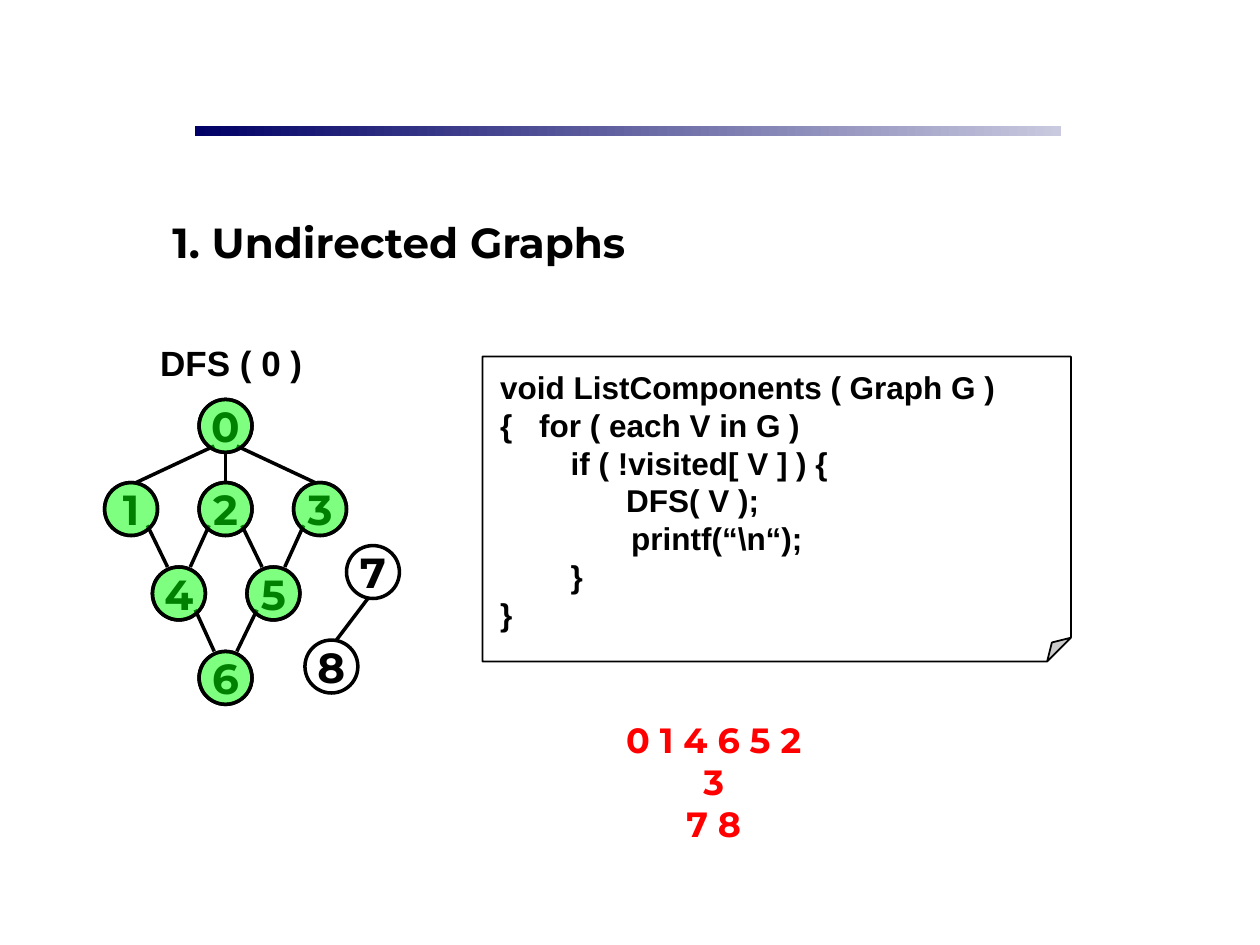
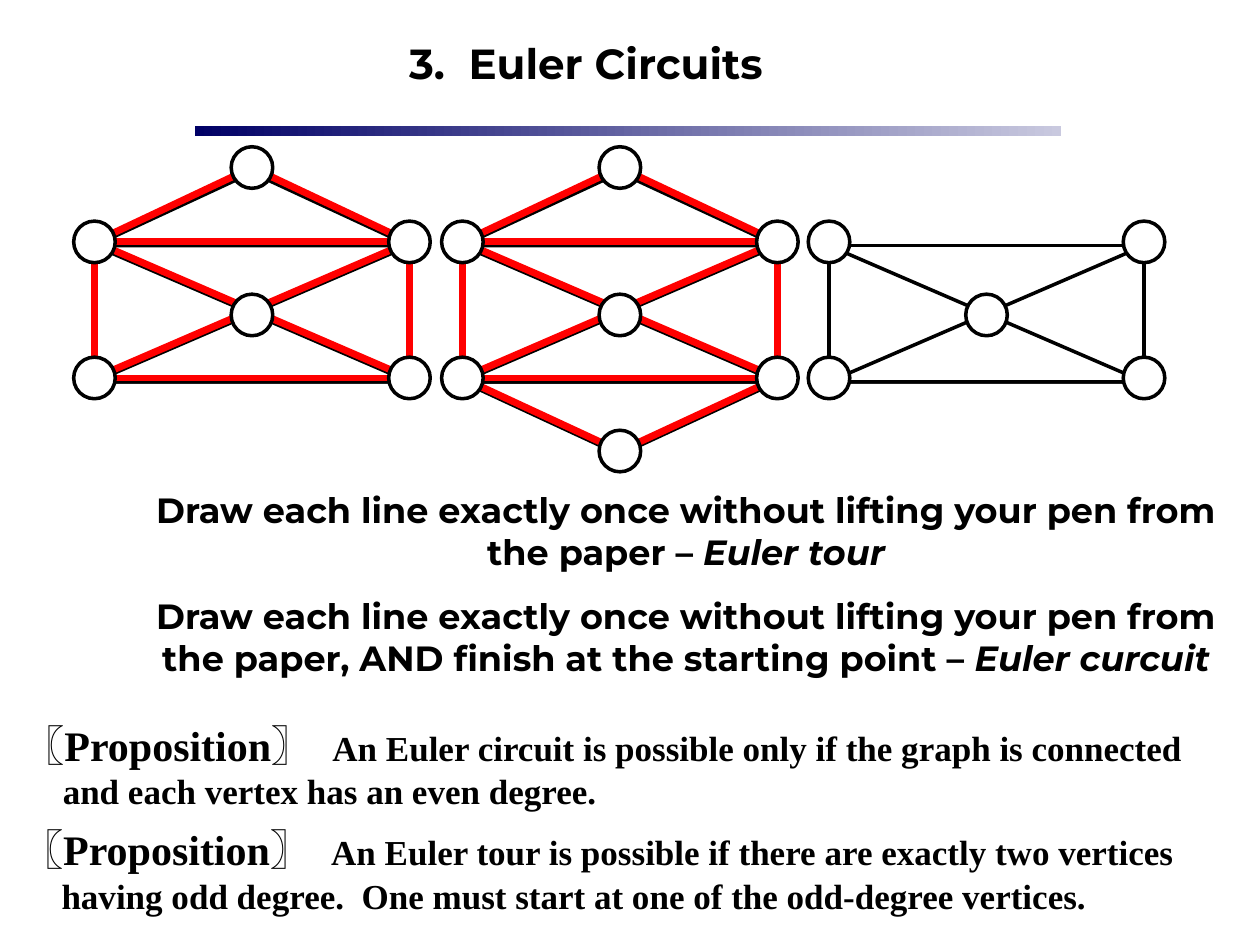
"""Build two slides on graph traversal and Euler circuits."""
from dataclasses import dataclass, field
from itertools import pairwise
from typing import Any, NamedTuple

from lxml import etree
from pptx import Presentation, util as u
from pptx.dml.color import RGBColor
from pptx.enum import shapes, text
from pptx.oxml.ns import qn

BLACK = RGBColor(0x00, 0x00, 0x00)
WHITE = RGBColor(0xFF, 0xFF, 0xFF)
RED = RGBColor(0xFF, 0x00, 0x00)
GREEN = RGBColor(0x00, 0xFF, 0x00)
NAVY = RGBColor(0x00, 0x00, 0x66)
PALE = RGBColor(0xC9, 0xC9, 0xDF)

SHAPE = shapes.MSO_SHAPE
CENTER = text.PP_ALIGN.CENTER
TITLE = {"name": "Montserrat", "size": u.Pt(24), "bold": True}
BODY = TITLE | {"size": u.Pt(20)}
LABEL = BODY | {"name": "Arial"}
CODE = LABEL | {"size": u.Pt(18)}
TERM = TITLE | {"name": "Times New Roman"}
STATEMENT = TERM | {"size": u.Pt(20)}

CENTERED = {"alignment": CENTER}
HEADED = CENTERED | {"space_before": u.Pt(15)}
SPACED = {"space_before": u.Pt(12.5)}
MIDDLE = {"word_wrap": False, "vertical_anchor": text.MSO_ANCHOR.MIDDLE}


class Box(NamedTuple):
    """A rectangle in inches."""
    left: float
    top: float
    width: float
    height: float


class Point(NamedTuple):
    """A position in inches."""
    x: float
    y: float


class Run(NamedTuple):
    """A stretch of text in one format."""
    words: str
    font: dict[str, Any]
    color: RGBColor = BLACK


@dataclass
class Para:
    """A paragraph with its format and indents in inches."""
    runs: list[Run]
    style: dict[str, Any] = field(default_factory=dict)
    margin: float = 0
    hang: float = 0


class Edge(NamedTuple):
    """A tree edge and the offsets at which it meets its two nodes."""
    start: str
    end: str
    out: Point
    into: float


class EulerFigure(NamedTuple):
    """A house-shaped graph, its vertices and the walk drawn over it."""
    left: float
    vertices: str
    walk: str = ""


NODE = 0.42
TREE = {"0": Point(1.79, 3.38), "1": Point(1.04, 4.04), "2": Point(1.79, 4.04),
        "3": Point(2.54, 4.04), "4": Point(1.42, 4.71), "5": Point(2.17, 4.71),
        "6": Point(1.79, 5.38), "7": Point(2.96, 4.54), "8": Point(2.63, 5.29)}
VISITED = "0146523"
FAN, DIAGONAL, STEEP = Point(0.09, 0.16), Point(0.13, 0.13), Point(0.04, 0.21)
EDGES = [
    Edge("0", "1", FAN, 0.04), Edge("0", "2", STEEP, 0),
    Edge("0", "3", FAN, 0.04), Edge("1", "4", DIAGONAL, 0.09),
    Edge("2", "4", DIAGONAL, 0.09), Edge("2", "5", DIAGONAL, 0.09),
    Edge("3", "5", DIAGONAL, 0.09), Edge("4", "6", DIAGONAL, 0.09),
    Edge("5", "6", DIAGONAL, 0.09), Edge("7", "8", STEEP, 0.04),
]
CODE_LINES = [
    ("void ListComponents ( Graph G )", 0, 0),
    ("{\tfor ( each V in G )", 0.31, -0.31),
    ("if ( !visited[ V ] ) {", 0.56, 0),
    ("DFS( V );", 1, 0),
    ("printf(“\\n“);", 1.04, 0),
    ("}", 0.56, 0),
    ("}", 0, 0),
]

VERTEX = 0.33
WIDE, TALL, ROOF = 2.5, 1.08, 0.58
VERTICES = {"T": Point(1.25, 1.33), "L": Point(0, 1.92), "R": Point(2.5, 1.92),
            "C": Point(1.25, 2.5), "l": Point(0, 3), "r": Point(2.5, 3),
            "B": Point(1.25, 3.58)}
FIGURES = [
    EulerFigure(0.75, "TLRClr", "lLTRLrlRr"),
    EulerFigure(3.67, "TLRClrB", "TLlBrRlrLRT"),
    EulerFigure(6.58, "LRClr"),
]
DRAW = "Draw each line exactly once without lifting your pen from the paper"
TASKS = [
    (3.83, f"{DRAW} – ", "Euler tour"),
    (4.67, f"{DRAW}, AND finish at the starting point – ", "Euler curcuit"),
]
PROPOSITIONS = [
    (Box(0.08, 5.66, 9.67, 0.84),
     "An Euler circuit is possible only if the graph is connected "
     "and each vertex has an even degree."),
    (Box(0.07, 6.49, 9.84, 0.84),
     "An Euler tour is possible if there are exactly two vertices "
     "having odd degree.  One must start at one of the odd-degree vertices."),
]


def set_all(target: Any, values: dict[str, Any]) -> None:
    """Set each named attribute of the target."""
    for name, value in values.items():
        setattr(target, name, value)


def around(center: Point, size: float) -> Box:
    """Return the square of a given size about a point."""
    return Box(center.x - size / 2, center.y - size / 2, size, size)


def write(sp: Any, paras: list[Para], frame: dict[str, Any] | None = None) -> None:
    """Fill a shape's text frame with paragraphs."""
    tf = sp.text_frame
    set_all(tf, {"word_wrap": True} | (frame or {}))
    for i, para in enumerate(paras):
        p = tf.add_paragraph() if i else tf.paragraphs[0]
        set_all(p, para.style)
        if para.margin:
            pr = p._p.get_or_add_pPr()
            pr.set("marL", str(u.Inches(para.margin)))
            pr.set("indent", str(u.Inches(para.hang)))
        for run in para.runs:
            r = p.add_run()
            r.text = run.words
            set_all(r.font, run.font)
            r.font.color.rgb = run.color


def add_text(slide: Any, box: Box, paras: list[Para],
             frame: dict[str, Any] | None = None) -> None:
    """Add a text box."""
    write(slide.shapes.add_textbox(*map(u.Inches, box)), paras, frame)


def add_shape(slide: Any, kind: Any, box: Box, fill: RGBColor | None = None,
              weight: float = 2, alpha: int = 100, flip: str = "") -> Any:
    """Add an outlined preset shape, filled or empty."""
    sp = slide.shapes.add_shape(kind, *map(u.Inches, box))
    sp.shadow.inherit = False
    sp.line.color.rgb = BLACK
    sp.line.width = u.Pt(weight)
    if fill is None:
        sp.fill.background()
    else:
        sp.fill.solid()
        sp.fill.fore_color.rgb = fill
    if alpha < 100:
        color = sp._element.spPr.find(f".//{qn('a:srgbClr')}")
        etree.SubElement(color, qn("a:alpha"), val=str(alpha * 1000))
    if flip:
        sp._element.spPr.get_or_add_xfrm().set(flip, "1")
    return sp


def add_line(slide: Any, start: Point, end: Point,
             color: RGBColor = BLACK, weight: float = 2) -> None:
    """Add a straight line between two points."""
    line = slide.shapes.add_connector(
        shapes.MSO_CONNECTOR.STRAIGHT, *map(u.Inches, (*start, *end)))
    line.line.color.rgb = color
    line.line.width = u.Pt(weight)
    etree.SubElement(line._element.spPr, qn("a:effectLst"))


def add_slide(prs: Any, title: str, box: Box) -> Any:
    """Add a blank slide with the shared band and title."""
    slide = prs.slides.add_slide(prs.slide_layouts[6])
    band = add_shape(slide, SHAPE.RECTANGLE, Box(1.55, 1, 6.87, 0.08))
    band.line.fill.background()
    band.fill.gradient()
    band.fill.gradient_angle = 0
    for stop, color in zip(band.fill.gradient_stops, (NAVY, PALE)):
        stop.color.rgb = color
    add_text(slide, box, [Para([Run(title, TITLE)], HEADED)])
    return slide


def add_tree_edge(slide: Any, edge: Edge) -> None:
    """Add an edge that leans towards the child node."""
    a, b = TREE[edge.start], TREE[edge.end]
    side = (b.x > a.x) - (b.x < a.x)
    add_line(slide, Point(a.x + side * edge.out.x, a.y + edge.out.y),
             Point(b.x - side * edge.into, b.y - NODE / 2))


def add_euler_figure(slide: Any, figure: EulerFigure) -> None:
    """Add the outlines, the red walk and the vertices of a graph."""
    body = Box(figure.left, 1.95, WIDE, TALL)
    add_shape(slide, SHAPE.RECTANGLE, body)
    for flip in ("", "flipH"):
        add_shape(slide, SHAPE.RIGHT_TRIANGLE, body, flip=flip)
    roofs = {"T": (body.top - ROOF, ""), "B": (body.top + TALL, "flipV")}
    for vertex, (top, flip) in roofs.items():
        if vertex in figure.vertices:
            add_shape(slide, SHAPE.ISOSCELES_TRIANGLE,
                      Box(figure.left, top, WIDE, ROOF), flip=flip)
    points = {v: Point(figure.left + VERTICES[v].x, VERTICES[v].y)
              for v in figure.vertices}
    for a, b in pairwise(figure.walk):
        add_line(slide, points[a], points[b], RED, 4)
    for point in points.values():
        add_shape(slide, SHAPE.OVAL, around(point, VERTEX), WHITE)


def build_components(prs: Any) -> None:
    """Build the slide on listing connected components."""
    slide = add_slide(prs, "1. Undirected Graphs", Box(0.58, 1.67, 5.17, 0.5))
    for label, center in TREE.items():
        sp = add_shape(slide, SHAPE.OVAL, around(center, NODE))
        write(sp, [Para([Run(label, TITLE)], CENTERED)], MIDDLE)
    for edge in EDGES:
        add_tree_edge(slide, edge)
    for label in VISITED:
        add_shape(slide, SHAPE.OVAL, around(TREE[label], NODE), GREEN, alpha=50)
    add_text(slide, Box(1.17, 2.67, 1.33, 0.42),
             [Para([Run("DFS ( 0 )", LABEL)], CENTERED)], MIDDLE)
    note = add_shape(slide, SHAPE.FOLDED_CORNER, Box(3.83, 2.83, 4.67, 2.42),
                     WHITE, weight=1)
    guides = note._element.spPr.find(f".//{qn('a:avLst')}")
    etree.SubElement(guides, qn("a:gd"), name="adj", fmla="val 7800")
    left = {"alignment": text.PP_ALIGN.LEFT}
    write(note, [Para([Run(words, CODE)], left, margin, hang)
                 for words, margin, hang in CODE_LINES],
          {"margin_left": u.Inches(0.14), "margin_top": u.Inches(0.09),
           "vertical_anchor": text.MSO_ANCHOR.TOP})
    add_text(slide, Box(4.75, 5.65, 1.83, 0.77),
             [Para([Run(words, BODY, RED)], CENTERED)
              for words in ("0 1 4 6 5 2 3", "7 8")])


def build_euler(prs: Any) -> None:
    """Build the slide on Euler tours and circuits."""
    slide = add_slide(prs, "3.  Euler Circuits", Box(2.21, 0.25, 4.88, 0.5))
    for figure in FIGURES:
        add_euler_figure(slide, figure)
    for top, task, name in TASKS:
        runs = [Run(task, BODY), Run(name, BODY | {"italic": True})]
        add_text(slide, Box(0.97, top, 8.95, 0.77),
                 [Para(runs, CENTERED | SPACED)])
    for box, statement in PROPOSITIONS:
        runs = [Run("〖Proposition〗  ", TERM), Run(statement, STATEMENT)]
        add_text(slide, box, [Para(runs, SPACED, 0.32, -0.32)])


def main() -> None:
    """Build and save the presentation."""
    prs = Presentation()
    prs.slide_width, prs.slide_height = u.Inches(10), u.Inches(7.5)
    build_components(prs)
    build_euler(prs)
    prs.save("out.pptx")


if __name__ == "__main__":
    main()
